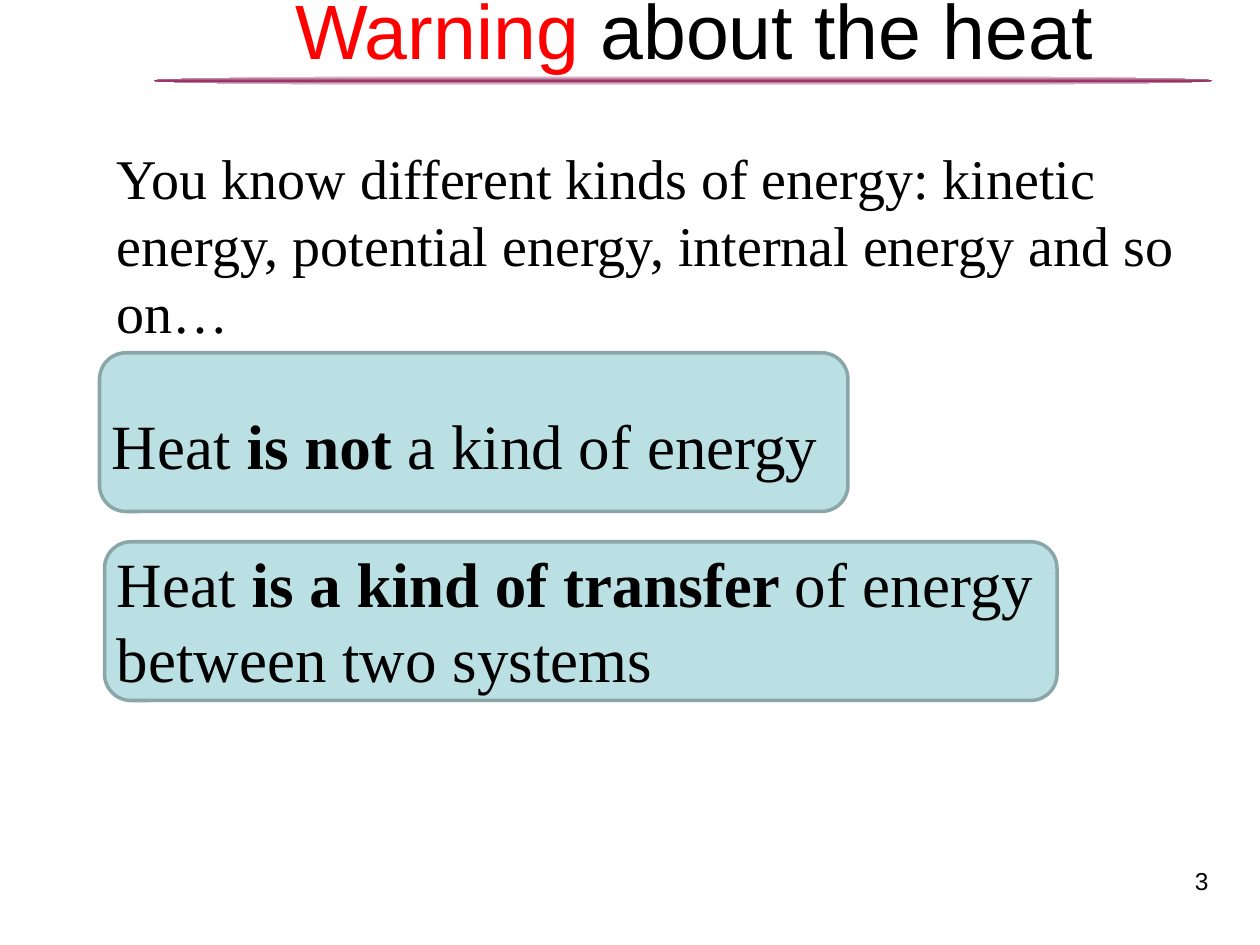
from copy import deepcopy

from pptx import Presentation
from pptx.dml.color import RGBColor
from pptx.enum.shapes import MSO_SHAPE
from pptx.enum.text import MSO_ANCHOR, MSO_AUTO_SIZE, PP_ALIGN
from pptx.oxml.ns import qn
from pptx.util import Inches, Pt

ELLIPSE = MSO_SHAPE.OVAL
ROUNDED = MSO_SHAPE.ROUNDED_RECTANGLE
LEFT, CENTER, RIGHT = PP_ALIGN.LEFT, PP_ALIGN.CENTER, PP_ALIGN.RIGHT
TOP = MSO_ANCHOR.TOP
NO_AUTOFIT = MSO_AUTO_SIZE.NONE
TITLE_ONLY = 5


def color(value):
    return RGBColor.from_string(value)


def write_text(frame, runs, size, font="Times New Roman", align=LEFT):
    frame.word_wrap = True
    frame.auto_size = NO_AUTOFIT
    frame.vertical_anchor = TOP
    paragraph = frame.paragraphs[0]
    paragraph.alignment = align
    paragraph.line_spacing = Pt(1.2 * size)
    for text, bold, fill in runs:
        run = paragraph.add_run()
        run.text = text
        run.font.name = font
        run.font.size = Pt(size)
        run.font.bold = bold
        run.font.color.rgb = color(fill)


class HeatSlide:
    """Holds the style and the current slide, and adds each kind of element."""

    black = "000000"
    red = "FF0000"
    plum = "993366"
    white = "FFFFFF"
    panel_fill = "BBE0E3"
    panel_line = "8AA6A8"

    def __init__(self, presentation):
        layout = presentation.slide_layouts[TITLE_ONLY]
        self.slide = presentation.slides.add_slide(layout)

    def add_shape(self, kind, box):
        shape = self.slide.shapes.add_shape(kind, *map(Inches, box))
        shape.shadow.inherit = False
        return shape

    def add_rule(self, box):
        shape = self.add_shape(ELLIPSE, box)
        shape.line.fill.background()
        shape.fill.gradient()
        shape.fill.gradient_angle = 90
        stop_list = shape.element.spPr.find(qn("a:gradFill")).find(qn("a:gsLst"))
        stop_list.append(deepcopy(stop_list[0]))
        stops = zip(shape.fill.gradient_stops, (self.white, self.plum, self.white))
        for index, (stop, value) in enumerate(stops):
            stop.position = index / 2
            stop.color.rgb = color(value)

    def add_panel(self, box):
        shape = self.add_shape(ROUNDED, box)
        shape.fill.solid()
        shape.fill.fore_color.rgb = color(self.panel_fill)
        shape.line.color.rgb = color(self.panel_line)
        shape.line.width = Pt(2)

    def add_title(self, box, runs):
        title = self.slide.shapes.title
        title.left, title.top, title.width, title.height = map(Inches, box)
        write_text(title.text_frame, runs, 44, font="Arial", align=CENTER)

    def add_text(self, box, runs, size, **text_format):
        shape = self.slide.shapes.add_textbox(*map(Inches, box))
        write_text(shape.text_frame, runs, size, **text_format)

    def add_statement(self, box, start, emphasis, end):
        runs = [(start, False, self.black), (emphasis, True, self.black), (end, False, self.black)]
        self.add_text(box, runs, 36)


def main():
    presentation = Presentation()
    presentation.slide_width = Inches(10)
    presentation.slide_height = Inches(7.5)
    heat = HeatSlide(presentation)

    heat.add_rule((1.22, 0.6, 8.4, 0.08))
    heat.add_panel((0.83, 4.3, 7.56, 1.26))
    heat.add_panel((0.79, 2.8, 5.94, 1.26))
    heat.add_title(
        (1.01, -0.19, 9, 1.25),
        [("Warning", False, heat.red), (" about the heat", False, heat.black)],
    )
    heat.add_text((7.36, 6.82, 2.33, 0.45), [("3", False, heat.black)], 14, font="Arial", align=RIGHT)
    introduction = (
        "You know different kinds of energy: kinetic energy, "
        "potential energy, internal energy and so on…"
    )
    heat.add_text((0.83, 1.09, 8.66, 1.72), [(introduction, False, heat.black)], 32)
    heat.add_statement((0.79, 3.18, 7.84, 0.71), "Heat ", "is not ", "a kind of energy")
    heat.add_statement(
        (0.83, 4.27, 7.84, 1.31),
        "Heat ", "is a kind of transfer ", "of energy between two systems",
    )

    presentation.save("out.pptx")


if __name__ == "__main__":
    main()
